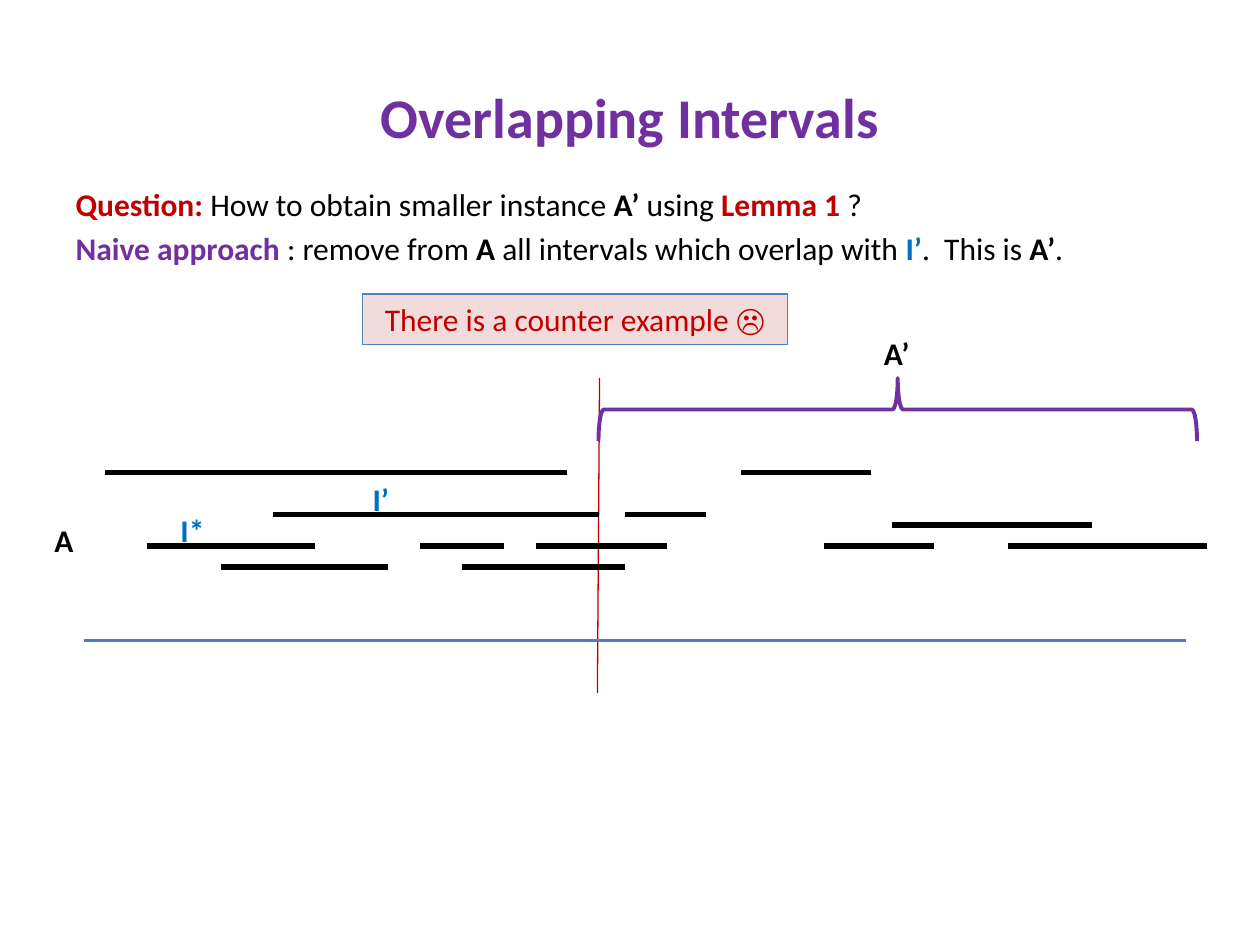
from pptx import Presentation
from pptx.dml.color import RGBColor
from pptx.enum.shapes import MSO_CONNECTOR, MSO_SHAPE
from pptx.enum.text import MSO_ANCHOR, MSO_AUTO_SIZE, PP_ALIGN
from pptx.oxml.ns import qn
from pptx.util import Pt
from lxml.etree import SubElement

PX = 7620  # 120 px to the inch
BLACK, RED, PURPLE, BLUE = "000000", "C00000", "7030A0", "0070C0"

# Row offset below the top of the diagram: (start, end) of each interval
INTERVALS = {
    0: [(20, 460), (626, 750)],
    40: [(180, 490), (515, 592)],
    50: [(770, 960)],
    70: [(60, 220), (320, 400), (430, 555), (705, 810), (880, 1070)],
    90: [(130, 290), (360, 515)],
}


def px(*lengths):
    return [length * PX for length in lengths]


def rgb(code):
    return RGBColor.from_string(code)


def write(paragraph, text, size=18, color=BLACK, bold=False, align=None):
    if align is not None:
        paragraph.alignment = align
    run = paragraph.add_run()
    run.text = text
    font = run.font
    font.name, font.size, font.bold = "Calibri", Pt(size), bold
    font.color.rgb = rgb(color)


def add_line(slide, start, end, color, width):
    line = slide.shapes.add_connector(MSO_CONNECTOR.STRAIGHT, *px(*start, *end))
    line.line.color.rgb = rgb(color)
    line.line.width = Pt(width)
    SubElement(line._element.spPr, qn("a:effectLst"))


def add_label(slide, box, text, color=BLACK):
    label = slide.shapes.add_textbox(*px(*box))
    frame = label.text_frame
    frame.word_wrap = False
    frame.auto_size = MSO_AUTO_SIZE.SHAPE_TO_FIT_TEXT
    write(frame.paragraphs[0], text, color=color, bold=True)


def place(shape, box):
    shape.left, shape.top, shape.width, shape.height = px(*box)


def fill_title(slide, box):
    title = slide.shapes.title
    place(title, box)
    title.text_frame.vertical_anchor = MSO_ANCHOR.MIDDLE
    write(title.text_frame.paragraphs[0], "Overlapping Intervals", size=32,
          color=PURPLE, bold=True, align=PP_ALIGN.CENTER)


def fill_question(slide, box):
    body = slide.placeholders[1]
    place(body, box)
    question = [("Question: ", RED, True), ("How to obtain smaller instance ", BLACK, False),
                ("A’ ", BLACK, True), ("using ", BLACK, False),
                ("Lemma 1", RED, True), (" ?", BLACK, False)]
    approach = [("Naive approach ", PURPLE, True), (": remove from ", BLACK, False),
                ("A", BLACK, True), (" all intervals which overlap with ", BLACK, False),
                ("I’", BLUE, True), (".  This is ", BLACK, False),
                ("A’", BLACK, True), (".", BLACK, False)]
    frame = body.text_frame
    for paragraph, parts in zip((frame.paragraphs[0], frame.add_paragraph()),
                                (question, approach)):
        properties = paragraph._p.get_or_add_pPr()
        properties.set("marL", "0")
        properties.set("indent", "0")
        SubElement(properties, qn("a:buNone"))
        for text, color, bold in parts:
            write(paragraph, text, color=color, bold=bold)


def draw_intervals(slide, box):
    """Draw the cut at the end of I’, the axis and the intervals of A."""
    left, top, width, height = box
    add_line(slide, (left + 491, top - 90), (left + 489, top + 210), RED, 0.75)
    add_line(slide, (left, top + height), (left + width, top + height), "4B7EBC", 1.5)
    for row, spans in INTERVALS.items():
        for start, end in spans:
            add_line(slide, (left + start, top + row), (left + end, top + row), BLACK, 3)
    add_label(slide, (left - 40, top + 40, 42, 48), "A")
    add_label(slide, (left + 263, top + 1, 40, 48), "I’", BLUE)
    add_label(slide, (left + 80, top + 31, 47, 48), "I*", BLUE)


def draw_brace(slide, box):
    """Draw a brace that opens downwards and fills the box, with A’ above it."""
    left, top, width, height = box
    inset = (width - height) // 2
    brace = slide.shapes.add_shape(
        MSO_SHAPE.RIGHT_BRACE, *px(left + inset, top - inset, height, width))
    brace.rotation = 270
    brace.shadow.inherit = False
    brace.fill.background()
    brace.line.color.rgb = rgb(PURPLE)
    brace.line.width = Pt(2.25)
    add_label(slide, (left + 260, top - 48, 49, 48), "A’")


def draw_verdict(slide, box):
    verdict = slide.shapes.add_shape(MSO_SHAPE.RECTANGLE, *px(*box))
    verdict.shadow.inherit = False
    verdict.fill.solid()
    verdict.fill.fore_color.rgb = rgb("F2DCDB")
    verdict.line.color.rgb = rgb("4F81BD")
    verdict.line.width = Pt(0.75)
    frame = verdict.text_frame
    frame.word_wrap = True
    frame.vertical_anchor = MSO_ANCHOR.TOP
    frame.auto_size = MSO_AUTO_SIZE.SHAPE_TO_FIT_TEXT
    write(frame.paragraphs[0], "There is a counter example ☹", color=RED,
          align=PP_ALIGN.CENTER)


def main():
    deck = Presentation()
    deck.slide_width, deck.slide_height = px(1200, 900)
    slide = deck.slides.add_slide(deck.slide_layouts[1])
    fill_title(slide, (60, 36, 1080, 150))
    fill_question(slide, (60, 170, 1080, 634))
    draw_intervals(slide, (80, 450, 1050, 160))
    draw_brace(slide, (570, 360, 570, 60))
    draw_verdict(slide, (345, 280, 405, 48))
    deck.save("out.pptx")


if __name__ == "__main__":
    main()
